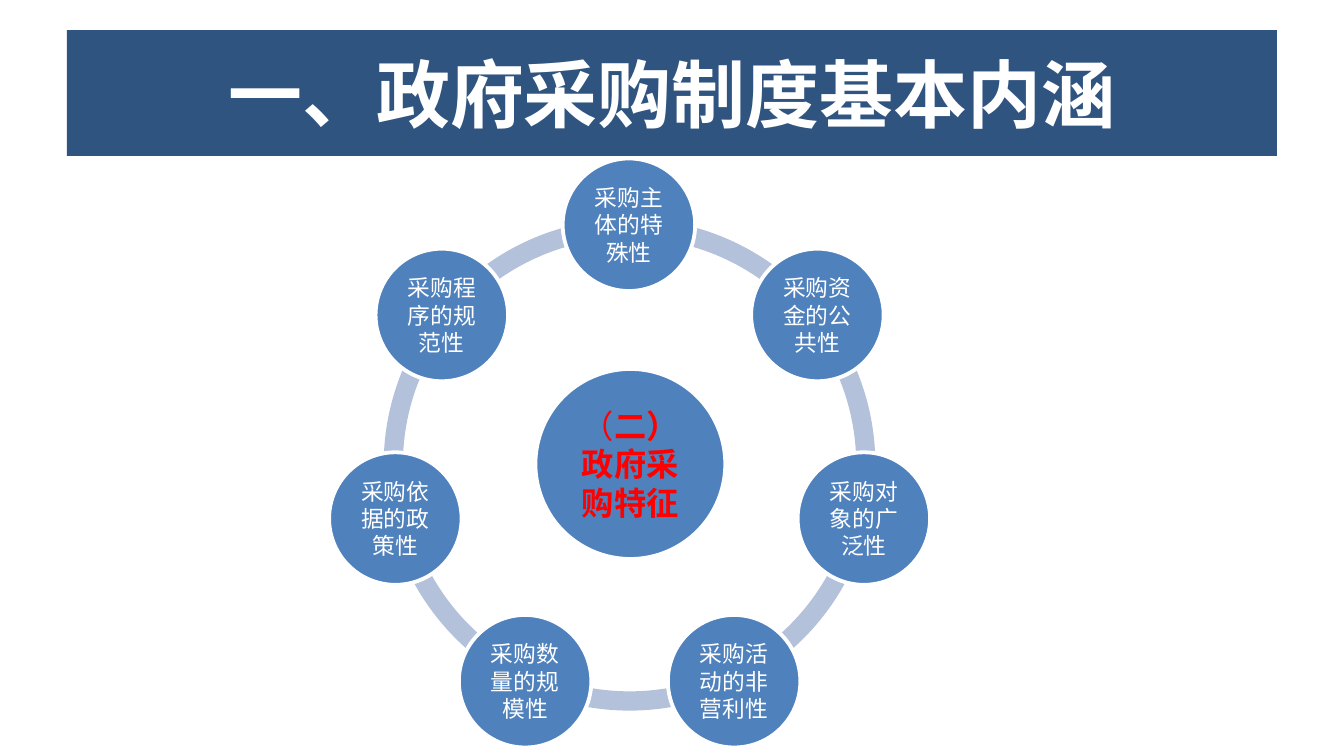
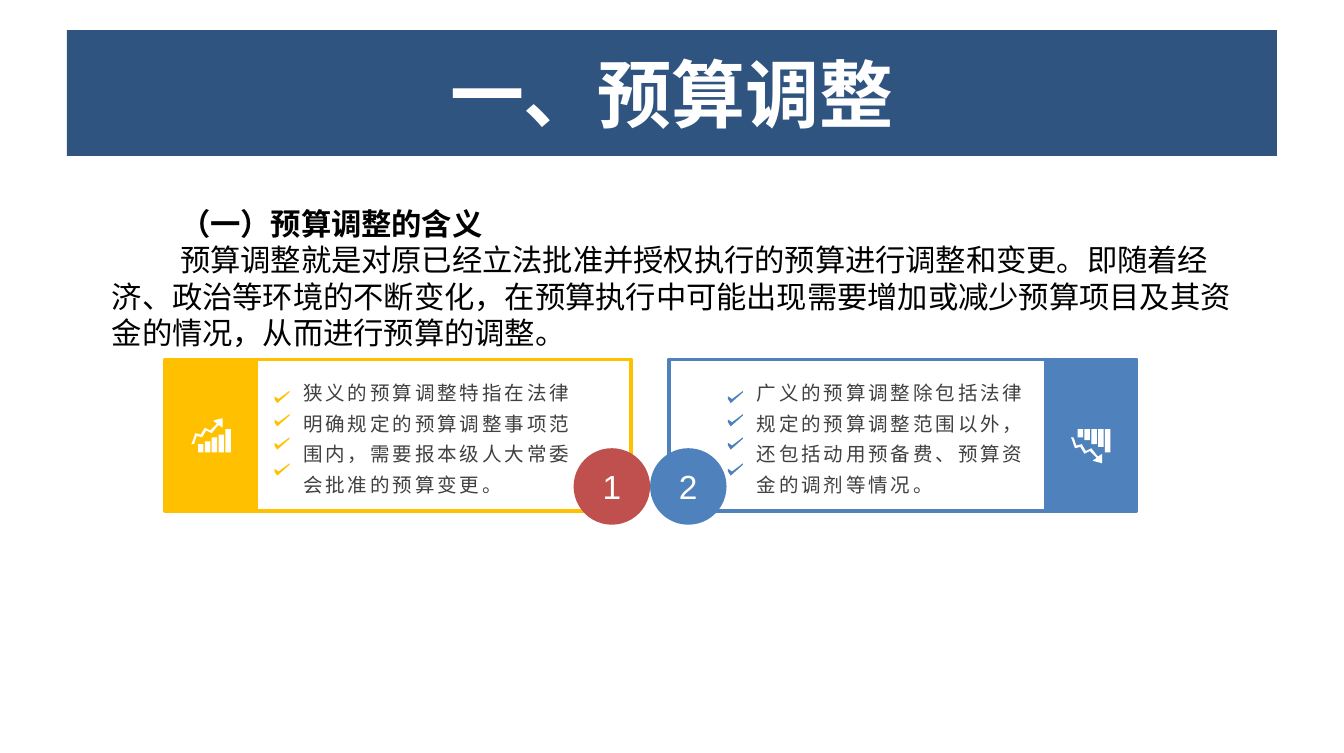
"""Builds two slides on procurement features and budget adjustment."""
import math
from dataclasses import dataclass

import pptx
import pptx.dml.color
import pptx.enum.lang
import pptx.enum.shapes
import pptx.enum.text
import pptx.presentation
import pptx.shapes.autoshape
import pptx.slide
import pptx.text.text
import pptx.util

PX = 9144
NAVY, BLUE, PALE_BLUE = "305480", "4F81BD", "B3C1DB"
GOLD, BRICK, RED = "FFC000", "C0504D", "FF0000"
WHITE, BLACK, GREY = "FFFFFF", "000000", "404040"
SANS, LATIN, ARIAL = "Noto Sans CJK SC", "Calibri", "Arial"
SHAPE = pptx.enum.shapes.MSO_SHAPE
CENTER = pptx.enum.text.PP_ALIGN.CENTER
MIDDLE = pptx.enum.text.MSO_ANCHOR.MIDDLE

Point = tuple[int, int]
Box = tuple[int, int, int, int]

RING_CENTER: Point = (461, 340)
RING_RADIUS, NODE_ORBIT, NODE_SIZE, HUB_SIZE = 180, 176, 97, 139
RING_THICKNESS = 0.039
FEATURES = [
    "采购主体的特殊性", "采购资金的公共性", "采购对象的广泛性", "采购活动的非营利性",
    "采购数量的规模性", "采购依据的政策性", "采购程序的规范性",
]

CARD_TOP, CARD_HEIGHT, PANEL_WIDTH = 263, 111, 67
BADGE_TOP, BADGE_SIZE = 328, 56
CHECK_TOPS = [286, 303, 320, 339]
CHECK: list[Point] = [(0, 6), (2, 9), (11, 1), (11, 0), (3, 6), (0, 4)]
ICON_HEIGHT = 25
TREND_ARROW: list[Point] = [
    (11, 9), (15, 11), (19, 6), (20, 5), (23, 7), (23, 0), (19, 1), (16, 2), (19, 4),
    (14, 9), (10, 7), (7, 12), (3, 11), (1, 17), (0, 19), (2, 19), (4, 13), (8, 14),
]
BAR_TOPS = [19, 17, 14, 12, 8]


@dataclass(frozen=True)
class Card:
    """One sense of budget adjustment, with its panel, checks and badge."""

    left: int
    width: int
    panel_left: int
    check_left: int
    badge_left: int
    icon_top: int
    falling: bool
    color: str
    badge_color: str
    number: str
    meaning: str


CARDS = [
    Card(121, 341, 121, 201, 420, 306, False, GOLD, BRICK, "1",
         "狭义的预算调整特指在法律明确规定的预算调整事项范围内，需要报本级人大常委会批准的预算变更。"),
    Card(490, 342, 765, 533, 476, 314, True, BLUE, BLUE, "2",
         "广义的预算调整除包括法律规定的预算调整范围以外，还包括动用预备费、预算资金的调剂等情况。"),
]


def px(length: int) -> pptx.util.Emu:
    """Turn px into EMU."""
    return pptx.util.Emu(length * PX)


def rgb(code: str) -> pptx.dml.color.RGBColor:
    """Turn a hex string into a colour."""
    return pptx.dml.color.RGBColor.from_string(code)


def around(center: tuple[float, float], size: int) -> Box:
    """Give the square box of a size around a center."""
    return round(center[0] - size / 2), round(center[1] - size / 2), size, size


def set_font(paragraph: pptx.text.text._Paragraph, name: str, size: float, color: str,
             bold: bool = False) -> None:
    """Format a whole paragraph."""
    font = paragraph.font
    font.name, font.size, font.bold = name, pptx.util.Pt(size), bold
    font.color.rgb = rgb(color)
    font.language_id = pptx.enum.lang.MSO_LANGUAGE_ID.SIMPLIFIED_CHINESE


def set_margins(frame: pptx.text.text.TextFrame, margin: int) -> None:
    """Give a text frame equal margins and let it wrap."""
    frame.word_wrap = True
    frame.margin_left = frame.margin_right = px(margin)
    frame.margin_top = frame.margin_bottom = px(margin)


def paint(shape: pptx.shapes.autoshape.Shape, fill: str | None, line: str | None = None,
          weight: float = 2) -> None:
    """Set fill and line and drop the shadow."""
    shape.shadow.inherit = False
    if fill:
        shape.fill.solid()
        shape.fill.fore_color.rgb = rgb(fill)
    else:
        shape.fill.background()
    if line:
        shape.line.color.rgb = rgb(line)
        shape.line.width = pptx.util.Pt(weight)
    else:
        shape.line.fill.background()


def add_shape(slide: pptx.slide.Slide, kind: SHAPE, box: Box, fill: str | None,
              line: str | None = None, weight: float = 2) -> pptx.shapes.autoshape.Shape:
    """Add a painted preset shape."""
    shape = slide.shapes.add_shape(kind, *map(px, box))
    paint(shape, fill, line, weight)
    return shape


def add_outline(slide: pptx.slide.Slide, contours: list[list[Point]], origin: Point,
                fill: str) -> None:
    """Add a filled freeform made of closed contours."""
    left, top = origin
    placed = [[(left + x, top + y) for x, y in contour] for contour in contours]
    builder = slide.shapes.build_freeform(*placed[0][0], scale=PX)
    for index, contour in enumerate(placed):
        if index:
            builder.move_to(*contour[0])
        builder.add_line_segments(contour[1:], close=True)
    paint(builder.convert_to_shape(), fill)


def add_disc(slide: pptx.slide.Slide, box: Box, fill: str, line: str | None,
             margin: int) -> pptx.text.text._Paragraph:
    """Add a circle and return its centred paragraph."""
    frame = add_shape(slide, SHAPE.OVAL, box, fill, line).text_frame
    set_margins(frame, margin)
    frame.vertical_anchor = MIDDLE
    frame.paragraphs[0].alignment = CENTER
    return frame.paragraphs[0]


def add_titled_slide(deck: pptx.presentation.Presentation, heading: str) -> pptx.slide.Slide:
    """Add a slide with its title on the navy band."""
    slide = deck.slides.add_slide(deck.slide_layouts[5])
    title = slide.shapes.title
    title.left, title.top, title.width, title.height = map(px, (49, 22, 886, 92))
    title.fill.solid()
    title.fill.fore_color.rgb = rgb(NAVY)
    title.text_frame.text = heading
    title.text_frame.vertical_anchor = MIDDLE
    paragraph = title.text_frame.paragraphs[0]
    paragraph.alignment = CENTER
    set_font(paragraph, LATIN, 39, WHITE, bold=True)
    return slide


def add_feature_ring(slide: pptx.slide.Slide) -> None:
    """Draw the ring of features around the hub."""
    step = 360 / len(FEATURES)
    angles = [(270 + step * index) % 360 for index in range(len(FEATURES))]
    for angle in angles:
        arc = add_shape(slide, SHAPE.BLOCK_ARC, around(RING_CENTER, 2 * RING_RADIUS), PALE_BLUE)
        arc.adjustments[0] = angle * 0.6
        arc.adjustments[1] = (angle + step) % 360 * 0.6
        arc.adjustments[2] = RING_THICKNESS

    hub = add_disc(slide, around(RING_CENTER, HUB_SIZE), BLUE, WHITE, 2)
    set_font(hub, SANS, 17, RED)
    hub.add_run().text = "（"
    subject = hub.add_run()
    subject.text = "二）政府采购特征"
    subject.font.bold = True

    for angle, feature in zip(angles, FEATURES):
        turn = math.radians(angle)
        center = (RING_CENTER[0] + NODE_ORBIT * math.cos(turn),
                  RING_CENTER[1] + NODE_ORBIT * math.sin(turn))
        node = add_disc(slide, around(center, NODE_SIZE), BLUE, WHITE, 2)
        node.text = feature
        set_font(node, LATIN, 12, WHITE)


def add_definition(slide: pptx.slide.Slide) -> None:
    """Write the definition of budget adjustment."""
    frame = slide.shapes.add_textbox(*map(px, (72, 145, 841, 118))).text_frame
    frame.word_wrap = True
    frame.text = (
        "（一）预算调整的含义\n"
        "预算调整就是对原已经立法批准并授权执行的预算进行调整和变更。即随着经济、政治等环境的不断变化，"
        "在预算执行中可能出现需要增加或减少预算项目及其资金的情况，从而进行预算的调整。"
    )
    for paragraph, bold in zip(frame.paragraphs, (True, False)):
        set_font(paragraph, LATIN, 16, BLACK, bold)
        paragraph._p.get_or_add_pPr().set("indent", str(px(50)))


def add_trend_icon(slide: pptx.slide.Slide, card: Card) -> None:
    """Draw the rising chart icon, or its falling mirror."""
    bars = [[(x, top), (x + 4, top), (x + 4, ICON_HEIGHT), (x, ICON_HEIGHT)]
            for x, top in zip(range(5, 30, 5), BAR_TOPS)]
    contours = [TREND_ARROW, *bars]
    if card.falling:
        contours = [[(x, ICON_HEIGHT - y) for x, y in contour] for contour in contours]
    add_outline(slide, contours, (card.panel_left + 19, card.icon_top), WHITE)


def add_card(slide: pptx.slide.Slide, card: Card) -> None:
    """Draw one card with its panel, checks, meaning and badge."""
    add_shape(slide, SHAPE.RECTANGLE, (card.left, CARD_TOP, card.width, CARD_HEIGHT),
              None, card.color)
    add_shape(slide, SHAPE.RECTANGLE, (card.panel_left, CARD_TOP, PANEL_WIDTH, CARD_HEIGHT),
              card.color, card.color, 1)
    add_trend_icon(slide, card)
    for top in CHECK_TOPS:
        add_outline(slide, [CHECK], (card.check_left, top), card.color)

    frame = slide.shapes.add_textbox(*map(px, (card.check_left + 21, 274, 207, 90))).text_frame
    set_margins(frame, 0)
    frame.text = card.meaning
    meaning = frame.paragraphs[0]
    meaning.line_spacing = 1.3
    set_font(meaning, ARIAL, 10.3, GREY)
    meaning.font._rPr.set("spc", "150")

    badge = add_disc(slide, (card.badge_left, BADGE_TOP, BADGE_SIZE, BADGE_SIZE),
                     card.badge_color, None, 0)
    badge.text = card.number
    set_font(badge, ARIAL, 17.6, WHITE)


def main() -> None:
    """Build and save the deck."""
    deck = pptx.Presentation()
    deck.slide_width, deck.slide_height = px(984), px(551)
    add_feature_ring(add_titled_slide(deck, "一、政府采购制度基本内涵"))
    adjustment = add_titled_slide(deck, "一、预算调整")
    add_definition(adjustment)
    for card in CARDS:
        add_card(adjustment, card)
    deck.save("out.pptx")


if __name__ == "__main__":
    main()
